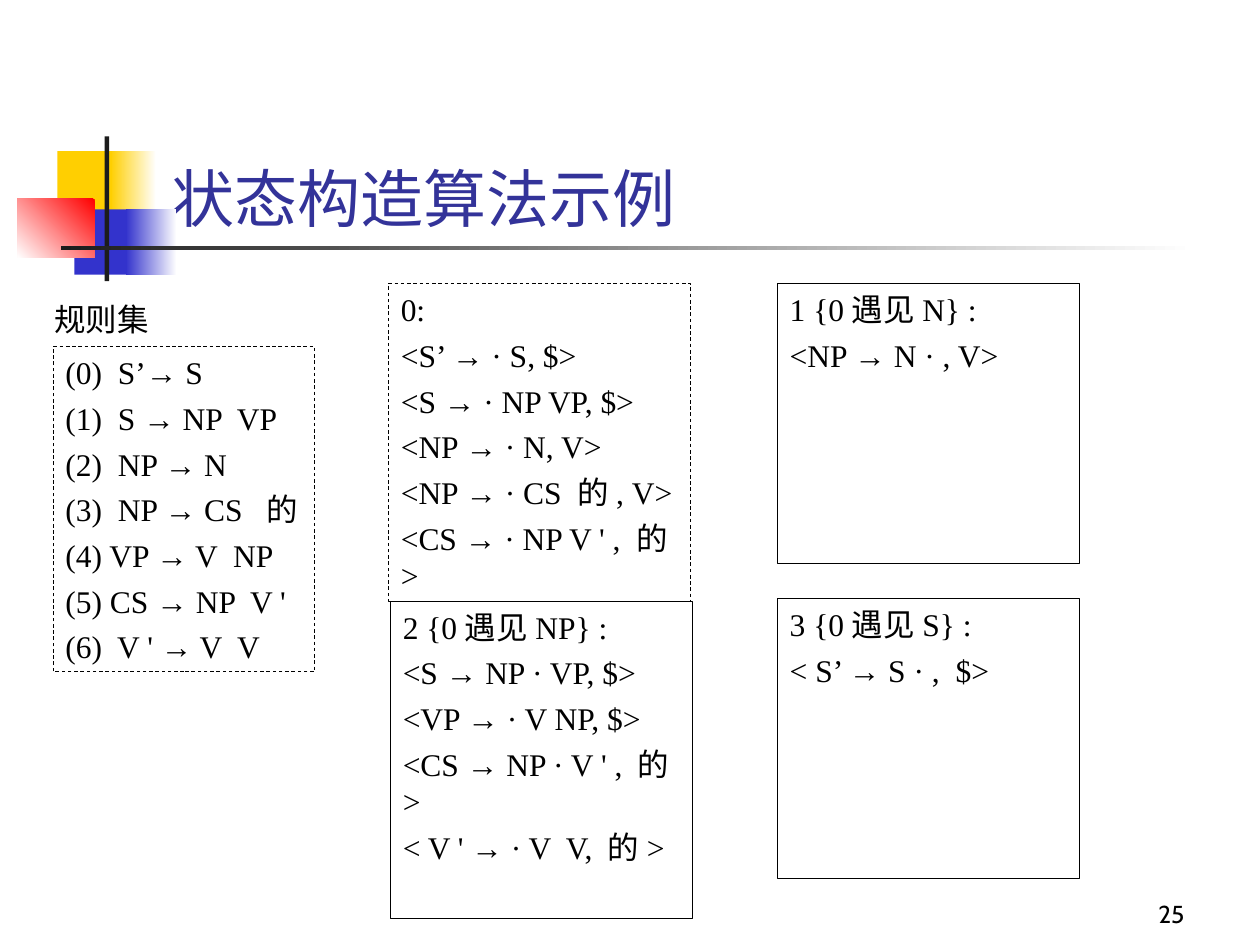
from pptx import Presentation
from pptx.dml.color import RGBColor
from pptx.enum.dml import MSO_LINE
from pptx.enum.shapes import MSO_SHAPE
from pptx.enum.text import MSO_ANCHOR, MSO_AUTO_SIZE, PP_ALIGN
from pptx.util import Cm, Pt

ARROW = "→"
FRAME = {
    "word_wrap": True, "auto_size": MSO_AUTO_SIZE.NONE,
    "margin_left": Cm(0.25), "margin_right": Cm(0.25),
    "margin_top": Cm(0.13), "margin_bottom": Cm(0.13),
}


def color(value):
    return RGBColor.from_string(value)


def write(shape, lines, size=18, font="Times New Roman", ink="000000",
          anchor=MSO_ANCHOR.TOP, align=PP_ALIGN.LEFT, before=0):
    """Fill a shape with one paragraph per line, setting arrows in Arial."""
    frame = shape.text_frame
    for name, value in {**FRAME, "vertical_anchor": anchor}.items():
        setattr(frame, name, value)
    for index, line in enumerate(lines):
        para = frame.add_paragraph() if index else frame.paragraphs[0]
        para.alignment = align
        para.space_before = Pt(before)
        head, arrow, tail = line.partition(ARROW)
        for text, face in ((head, font), (arrow, "Arial"), (tail, font)):
            if text:
                span = para.add_run()
                span.text = text
                span.font.size = Pt(size)
                span.font.name = face
                span.font.color.rgb = color(ink)


deck = Presentation()
deck.slide_width, deck.slide_height = Cm(25.4), Cm(19.05)
page = deck.slides.add_slide(deck.slide_layouts[5])
title = page.shapes.title

# Ornament: left, top, width, height, colours, clockwise gradient angle
ornament = [
    (1.16, 3.05, 1.22, 1.32, ["FFCF01"], 0),
    (2.23, 3.05, 0.92, 1.32, ["FFFFFF", "FFCF01"], 180),
    (1.5, 4.22, 1.17, 1.32, ["3333CC"], 0),
    (2.54, 4.22, 1.02, 1.32, ["FFFFFF", "3333CC"], 180),
    (0.35, 4.01, 1.56, 1.18, ["FF0000", "FFFFFF"], 135),
    (2.11, 2.75, 0.09, 2.92, ["1C1C1C"], 0),
    (1.23, 4.95, 22.86, 0.09, ["FFFFFF", "1C1C1C"], 180),
]
for *place, colors, angle in ornament:
    block = page.shapes.add_shape(MSO_SHAPE.RECTANGLE, *map(Cm, place))
    block.shadow.inherit = False
    block.line.fill.background()
    if len(colors) == 1:
        block.fill.solid()
        block.fill.fore_color.rgb = color(colors[0])
    else:
        block.fill.gradient()
        block.fill.gradient_angle = 360 - angle
        for stop, value in zip(block.fill.gradient_stops, colors):
            stop.color.rgb = color(value)

title.left, title.top, title.width, title.height = map(Cm, (3.2, 2.75, 21.64, 2.13))
write(title, ["状态构造算法示例"], size=36, font="Cabin", ink="333399",
      anchor=MSO_ANCHOR.BOTTOM)

# Rule set and states: left, top, width, height, dashed outline, lines
boxes = [
    (1.07, 6.99, 5.28, 6.55, True, [
        "(0)  S’→ S", "(1)  S → NP  VP", "(2)  NP → N", "(3)  NP → CS  的",
        "(4) VP → V  NP", "(5) CS → NP  V '", "(6)  V ' → V  V"]),
    (7.83, 5.72, 6.1, 6.4, True, [
        "0:", "<S’ → · S, $>", "<S → · NP VP, $>", "<NP → · N, V>",
        "<NP → · CS 的, V>", "<CS → · NP V ' , 的>"]),
    (15.67, 5.72, 6.1, 5.64, False, ["1 {0遇见N} :", "<NP → N · , V>"]),
    (7.87, 12.12, 6.1, 6.4, False, [
        "2 {0遇见NP} :", "<S → NP · VP, $>", "<VP → · V NP, $>",
        "<CS → NP · V ' , 的>", "< V ' → · V  V, 的>"]),
    (15.67, 12.07, 6.1, 5.64, False, ["3 {0遇见S} :", "< S’ → S · ,  $>"]),
]
for *place, dashed, lines in boxes:
    box = page.shapes.add_shape(MSO_SHAPE.RECTANGLE, *map(Cm, place))
    box.shadow.inherit = False
    box.fill.background()
    box.line.color.rgb = color("000000")
    box.line.width = Pt(0.5)
    if dashed:
        box.line.dash_style = MSO_LINE.DASH
    write(box, lines, before=4.5)

caption = page.shapes.add_textbox(Cm(0.84), Cm(5.92), Cm(3.38), Cm(1.02))
write(caption, ["规则集"], font="Cabin", before=11.2)

number = page.shapes.add_textbox(Cm(18.85), Cm(17.58), Cm(5.28), Cm(1.27))
write(number, ["25"], size=14, font="Cabin", anchor=MSO_ANCHOR.BOTTOM,
      align=PP_ALIGN.RIGHT)

deck.save("out.pptx")
